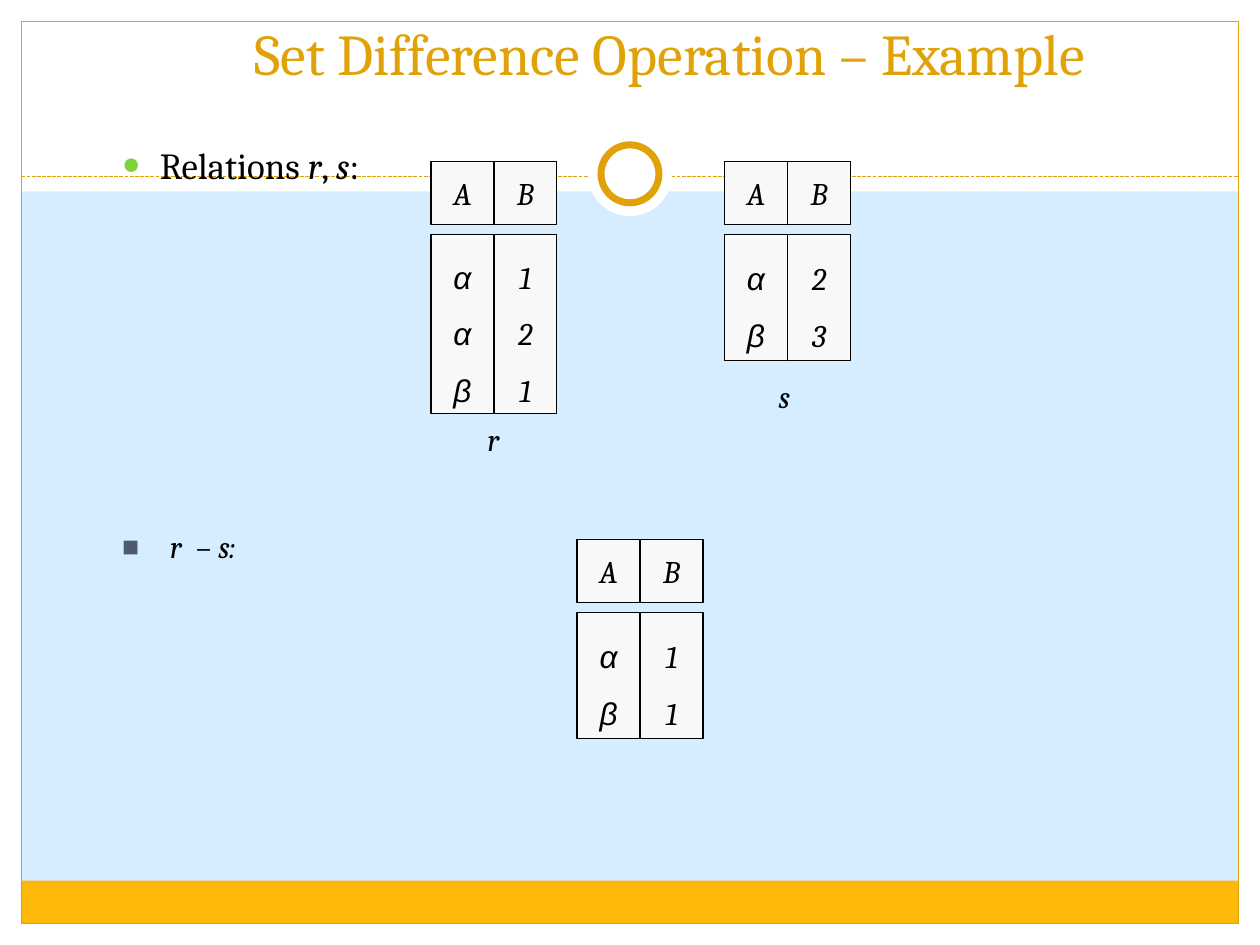
from lxml import etree
from pptx import Presentation
from pptx.dml.color import RGBColor
from pptx.enum.dml import MSO_LINE
from pptx.enum.shapes import MSO_CONNECTOR, MSO_SHAPE
from pptx.enum.text import MSO_ANCHOR, PP_ALIGN
from pptx.oxml.ns import qn
from pptx.util import Inches, Pt

RECT, OVAL = MSO_SHAPE.RECTANGLE, MSO_SHAPE.OVAL
STRAIGHT, DASH = MSO_CONNECTOR.STRAIGHT, MSO_LINE.SQUARE_DOT
TOP, MIDDLE, BOTTOM = MSO_ANCHOR.TOP, MSO_ANCHOR.MIDDLE, MSO_ANCHOR.BOTTOM
LEFT, CENTER = PP_ALIGN.LEFT, PP_ALIGN.CENTER

SERIF, SANS = "Cambria", "Arial"
SKY, WHITE, BLACK = "D6ECFF", "FFFFFF", "000000"
GOLD, AMBER, CELL = "E0A208", "FEB80A", "F8F8F8"
GREEN, SLATE = "7FD13B", "4E5B6F"


def rgb(value):
    return RGBColor.from_string(value)


def add_panel(slide, kind, box, fill=None, line=None, width=0.75):
    panel = slide.shapes.add_shape(kind, *map(Inches, box))
    panel.shadow.inherit = False
    if fill:
        panel.fill.solid()
        panel.fill.fore_color.rgb = rgb(fill)
    else:
        panel.fill.background()
    if line:
        panel.line.color.rgb = rgb(line)
        panel.line.width = Pt(width)
    else:
        panel.line.fill.background()
    return panel


def style_font(font, size, color=BLACK, name=SERIF, italic=False):
    font.name, font.size, font.italic = name, Pt(size), italic
    font.color.rgb = rgb(color)


def add_text(slide, box, text, size, color=BLACK, italic=False,
             anchor=TOP, align=LEFT, wrap=True):
    frame = slide.shapes.add_textbox(*map(Inches, box)).text_frame
    frame.word_wrap = wrap
    frame.vertical_anchor = anchor
    frame.text = text
    paragraph = frame.paragraphs[0]
    paragraph.alignment = align
    for run in paragraph.runs:
        style_font(run.font, size, color, italic=italic)
    return paragraph


def add_bullet(paragraph, char, color, percent, indent):
    props = paragraph._p.get_or_add_pPr()
    props.set("marL", str(Inches(indent)))
    props.set("indent", str(-Inches(indent)))
    bullet_color = etree.SubElement(props, qn("a:buClr"))
    etree.SubElement(bullet_color, qn("a:srgbClr"), val=color)
    etree.SubElement(props, qn("a:buSzPct"), val=str(percent * 1000))
    etree.SubElement(props, qn("a:buFont"), typeface=SANS)
    etree.SubElement(props, qn("a:buChar"), char=char)


def add_frame(slide, width, height):
    margin, header, footer = 0.17, 1.52, 0.34
    inner_width, inner_height = width - 2 * margin, height - 2 * margin
    # White margins and header band
    for box in ((0, height - margin, width, margin), (0, 0, width, header),
                (0, 0, margin, height), (width - margin, 0, margin, height)):
        add_panel(slide, RECT, box, WHITE)
    # Footer band and border
    footer_top = height - margin - footer
    add_panel(slide, RECT, (margin, footer_top, inner_width, footer), AMBER)
    add_panel(slide, RECT, (margin, margin, inner_width, inner_height), line=GOLD)
    # Dashed rule below the title
    rule = slide.shapes.add_connector(
        STRAIGHT, *map(Inches, (margin, 1.4, width - margin, 1.4)))
    rule.line.color.rgb = rgb(GOLD)
    rule.line.width = Pt(0.75)
    rule.line.dash_style = DASH
    etree.SubElement(rule._element.spPr, qn("a:effectLst"))
    # Ring on the rule
    for diameter, line in ((0.67, None), (0.46, GOLD)):
        box = ((width - diameter) / 2, 1.38 - diameter / 2, diameter, diameter)
        add_panel(slide, OVAL, box, WHITE, line, 4)


def add_cell(slide, box, values, font_name=SERIF, spacing=None):
    frame = add_panel(slide, RECT, box, CELL, BLACK).text_frame
    frame.word_wrap = False
    frame.vertical_anchor = MIDDLE
    frame.text = "\n".join(values)
    for paragraph in frame.paragraphs:
        paragraph.alignment = CENTER
        paragraph.line_spacing = spacing
        style_font(paragraph.runs[0].font, 18, name=font_name, italic=True)


def add_relation(slide, left, top, body_height, columns):
    side, gap = 0.5, 0.08
    for index, (heading, values, font_name) in enumerate(columns):
        x = left + index * side
        add_cell(slide, (x, top, side, side), [heading])
        add_cell(slide, (x, top + side + gap, side, body_height),
                 values, font_name, 1.5)


def add_statements(slide):
    # Given relations
    relations = add_text(slide, (0.87, 1.18, 7.5, 0.37), "Relations ", 21)
    relations.line_spacing = 0.7
    add_bullet(relations, "●", GREEN, 85, 0.3)
    for text, italic in (("r", True), (", ", False), ("s", True), (":", False)):
        run = relations.add_run()
        run.text = text
        style_font(run.font, 21, italic=italic)
    # Result
    difference = add_text(slide, (0.87, 4.17, 7.69, 0.36), "r  – s:", 18, italic=True)
    difference.line_spacing = 0.9
    add_bullet(difference, "■", SLATE, 90, 0.38)


def main():
    prs = Presentation()
    prs.slide_width, prs.slide_height = Inches(10), Inches(7.5)
    slide = prs.slides.add_slide(prs.slide_layouts[6])
    slide.background.fill.solid()
    slide.background.fill.fore_color.rgb = rgb(SKY)

    add_frame(slide, 10, 7.5)
    add_text(slide, (0.9, 0.07, 8.83, 0.67), "Set Difference Operation – Example",
             33, GOLD, anchor=BOTTOM, align=CENTER)
    add_statements(slide)

    # Relations r, s and r – s
    for left, top, body_height, letters, numbers in (
            (3.42, 1.28, 1.42, "ααβ", "121"),
            (5.75, 1.28, 1, "αβ", "23"),
            (4.58, 4.28, 1, "αβ", "11")):
        add_relation(slide, left, top, body_height,
                     (("A", letters, SANS), ("B", numbers, SERIF)))

    # Relation names
    for name, left, top in (("r", 3.76, 3.28), ("s", 6.07, 2.94)):
        add_text(slide, (left, top, 0.31, 0.4), name, 18, italic=True,
                 anchor=MIDDLE, align=CENTER, wrap=False)

    prs.save("out.pptx")


if __name__ == "__main__":
    main()
